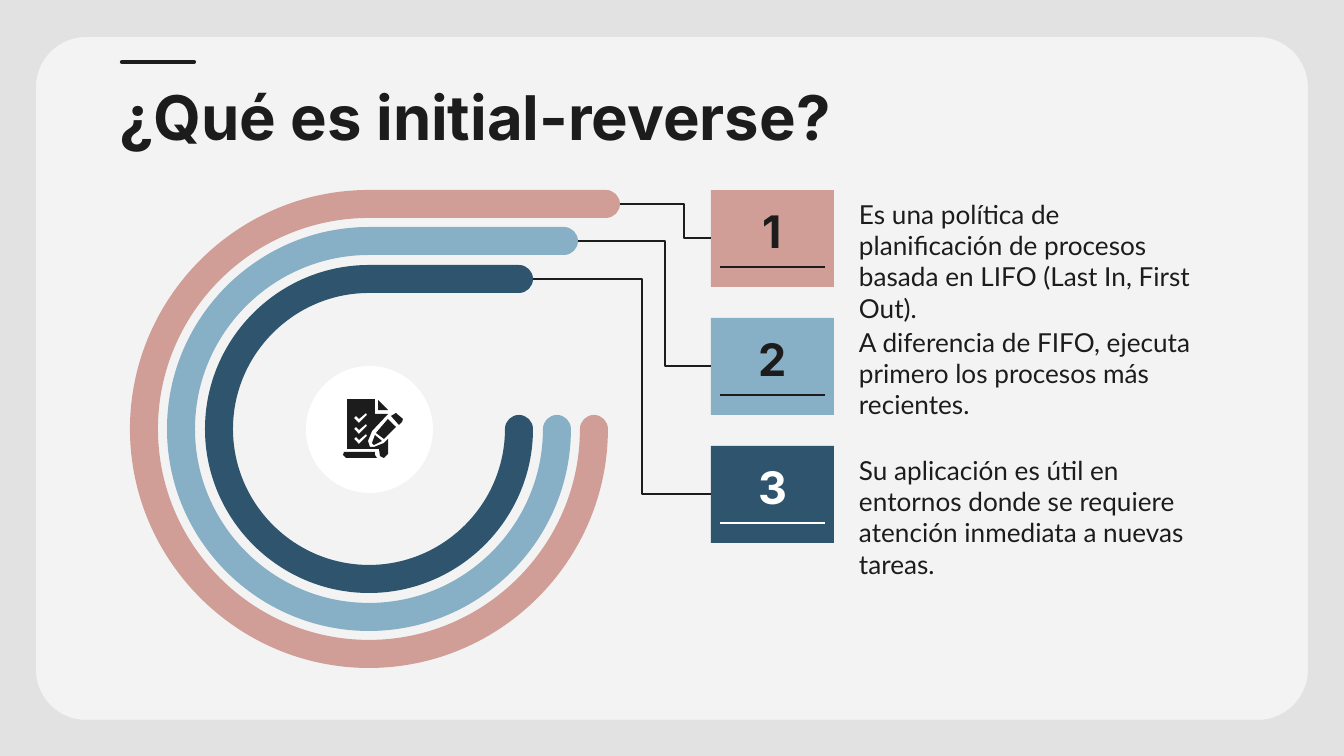
from dataclasses import dataclass
from math import cos, radians, sin

from lxml.etree import SubElement
from pptx import Presentation
from pptx.dml.color import RGBColor
from pptx.enum.shapes import MSO_CONNECTOR, MSO_SHAPE
from pptx.enum.text import MSO_ANCHOR, MSO_AUTO_SIZE, PP_ALIGN
from pptx.oxml.ns import qn
from pptx.util import Emu, Pt


@dataclass(frozen=True)
class Theme:
    frame: RGBColor = RGBColor(0xE2, 0xE2, 0xE2)
    card: RGBColor = RGBColor(0xF3, 0xF3, 0xF3)
    ink: RGBColor = RGBColor(0x1C, 0x1C, 0x1C)
    white: RGBColor = RGBColor(0xFF, 0xFF, 0xFF)
    rose: RGBColor = RGBColor(0xD0, 0x9E, 0x96)
    sky: RGBColor = RGBColor(0x87, 0xAF, 0xC6)
    navy: RGBColor = RGBColor(0x2E, 0x55, 0x6D)
    heading_font: str = "Inter"
    body_font: str = "Lato"
    title_size: int = 33
    number_size: int = 24
    body_size: int = 14


THEME = Theme()
PX = 914400 / 134.4
QUARTER_ARC = 0.55  # control arm of a quarter circle, as a share of its radius


def px(*lengths):
    return [Emu(round(length * PX)) for length in lengths]


def write_text(shape, text, *, size, font=THEME.heading_font, color=THEME.ink, bold=True,
               align=PP_ALIGN.LEFT, anchor=MSO_ANCHOR.TOP, top=13, bottom=13):
    frame = shape.text_frame
    frame.word_wrap = True
    frame.auto_size = MSO_AUTO_SIZE.NONE
    frame.vertical_anchor = anchor
    (frame.margin_left, frame.margin_top,
     frame.margin_right, frame.margin_bottom) = px(13, top, 13, bottom)
    paragraph = frame.paragraphs[0]
    paragraph.alignment = align
    run = paragraph.add_run()
    run.text = text
    run.font.name = font
    run.font.size = Pt(size)
    run.font.bold = bold
    run.font.color.rgb = color


presentation = Presentation()
presentation.slide_width, presentation.slide_height = px(1344, 756)
slide = presentation.slides.add_slide(presentation.slide_layouts[5])
shapes = slide.shapes
slide.background.fill.solid()
slide.background.fill.fore_color.rgb = THEME.card

title = shapes.title
title.left, title.top, title.width, title.height = px(106, 66, 1133, 85)
write_text(title, "¿Qué es initial-reverse?", size=THEME.title_size)

# Each item: text, fill, number colour, ring radius, bar end, elbow x
items = [
    ("Es una política de planificación de procesos basada en LIFO (Last In, First Out).",
     THEME.rose, THEME.ink, 225, 606, 684),
    ("A diferencia de FIFO, ejecuta primero los procesos más recientes.",
     THEME.sky, THEME.ink, 188, 564, 665),
    ("Su aplicación es útil en entornos donde se requiere atención inmediata a nuevas tareas.",
     THEME.navy, THEME.white, 150, 519, 642),
]
center_x, center_y, cap = 369, 429, 14
box_left, box_top, box_width, box_height, box_step = 711, 190, 123, 97, 128

# Each outline: colour and contours. A contour lists corners (x, y) and
# arcs (centre x, centre y, radius, start angle, signed quarter turns).
outlines = [(THEME.frame, [
    [(0, 0), (0, 756), (1344, 756), (1344, 0)],
    [(86, 87, 50, 180, 1), (1258, 87, 50, 270, 1),
     (1258, 670, 50, 0, 1), (86, 670, 50, 90, 1)],
])]
# Each connector: start, end, colour, width, elbow x
connectors = [(122, 62, 194, 62, THEME.ink, 2.25, None)]

for index, (text, fill, ink, radius, bar_end, elbow) in enumerate(items):
    bar_y = center_y - radius
    outlines.append((fill, [[
        (center_x, center_y, radius + cap, 0, 3),
        (bar_end, bar_y, cap, 270, 2),
        (center_x, center_y, radius - cap, 270, -3),
        (center_x + radius, center_y, cap, 180, 2),
    ]]))

    top = box_top + index * box_step
    box = shapes.add_shape(MSO_SHAPE.RECTANGLE, *px(box_left, top, box_width, box_height))
    box.fill.solid()
    box.fill.fore_color.rgb = fill
    box.line.fill.background()
    box.shadow.inherit = False
    write_text(box, str(index + 1), size=THEME.number_size, color=ink,
               align=PP_ALIGN.CENTER, anchor=MSO_ANCHOR.BOTTOM, bottom=30)
    description = shapes.add_textbox(*px(846, top, 370, box_height))
    write_text(description, text, size=THEME.body_size, font=THEME.body_font,
               bold=False, top=8)

    connectors += [
        (720, top + 77, 825, top + 77, ink, 1.07, None),
        (bar_end + cap, bar_y, box_left, top + 48, THEME.ink, 0.75, elbow),
    ]

disc = shapes.add_shape(MSO_SHAPE.OVAL, *px(306, 366, 127, 127))
disc.fill.solid()
disc.fill.fore_color.rgb = THEME.white
disc.line.fill.background()
disc.shadow.inherit = False

# Checklist icon: page with check marks cut out, scroll, fold, eraser, pencil, tip
page = [(347, 399), (375, 399), (375, 414), (388, 414), (372, 431), (368, 441), (370, 447),
        (374, 447), (384, 443), (388, 439), (388, 454), (384, 458), (380, 456), (379, 449),
        (347, 449)]
checks = [
    [(354, 418 + drop), (356, 416 + drop), (359, 419 + drop),
     (366, 413 + drop), (367, 415 + drop), (359, 423 + drop)]
    for drop in (0, 11, 21)
]
icon_parts = [
    [page, *checks],
    [[(344, 452), (375, 452), (375, 455), (377, 458), (346, 458), (343, 455)]],
    [[(378, 400), (388, 410), (378, 410)]],
    [[(391, 416), (396, 413), (403, 419), (402, 422), (399, 425)]],
    [[(388, 419), (376, 433), (384, 439), (396, 427)]],
    [[(375, 435), (372, 443), (374, 445), (382, 441)]],
]
outlines += [(THEME.ink, part) for part in icon_parts]

for color, contours in outlines:
    builder = None
    steps = []  # number of points in each step: 1 for a line, 3 for a curve
    for contour in contours:
        points = []
        for x, y, *arc in contour:
            radius, angle, turns = arc or (0, 0, 0)
            direction = 1 if turns > 0 else -1
            arm = QUARTER_ARC * direction
            across, down = cos(radians(angle)), sin(radians(angle))
            points.append((x + radius * across, y + radius * down))
            steps.append(1)
            for turn in range(abs(turns)):
                next_across, next_down = -direction * down, direction * across
                points += [
                    (x + radius * (across - arm * down), y + radius * (down + arm * across)),
                    (x + radius * (next_across + arm * next_down),
                     y + radius * (next_down - arm * next_across)),
                    (x + radius * next_across, y + radius * next_down),
                ]
                steps.append(3)
                across, down = next_across, next_down
        start, *rest = [px(*point) for point in points]
        if builder is None:
            builder = shapes.build_freeform(*start)
        else:
            builder.move_to(*start)
        builder.add_line_segments(rest, close=True)
    outline = builder.convert_to_shape()
    outline.fill.solid()
    outline.fill.fore_color.rgb = color
    outline.line.fill.background()
    outline.shadow.inherit = False
    if color == THEME.frame:
        shapes.element.insert(2, outline.element)

    # Turn each group of three line points into one curve
    nodes = iter(list(outline.element.iter(qn("a:moveTo"), qn("a:lnTo"))))
    for count in steps:
        first, *others = [next(nodes) for point in range(count)]
        if others:
            first.tag = qn("a:cubicBezTo")
        for node in others:
            first.append(node[0])
            node.getparent().remove(node)

for x1, y1, x2, y2, color, width, elbow in connectors:
    kind = MSO_CONNECTOR.ELBOW if elbow else MSO_CONNECTOR.STRAIGHT
    connector = shapes.add_connector(kind, *px(x1, y1, x2, y2))
    connector.line.color.rgb = color
    connector.line.width = Pt(width)
    properties = connector.element.spPr
    if width > 2:
        properties.find(qn("a:ln")).set("cap", "rnd")
    SubElement(properties, qn("a:effectLst"))
    if elbow:
        bend = round((elbow - x1) / (x2 - x1) * 100000)
        SubElement(properties.find(".//" + qn("a:avLst")), qn("a:gd"),
                   name="adj1", fmla=f"val {bend}")

presentation.save("out.pptx")
